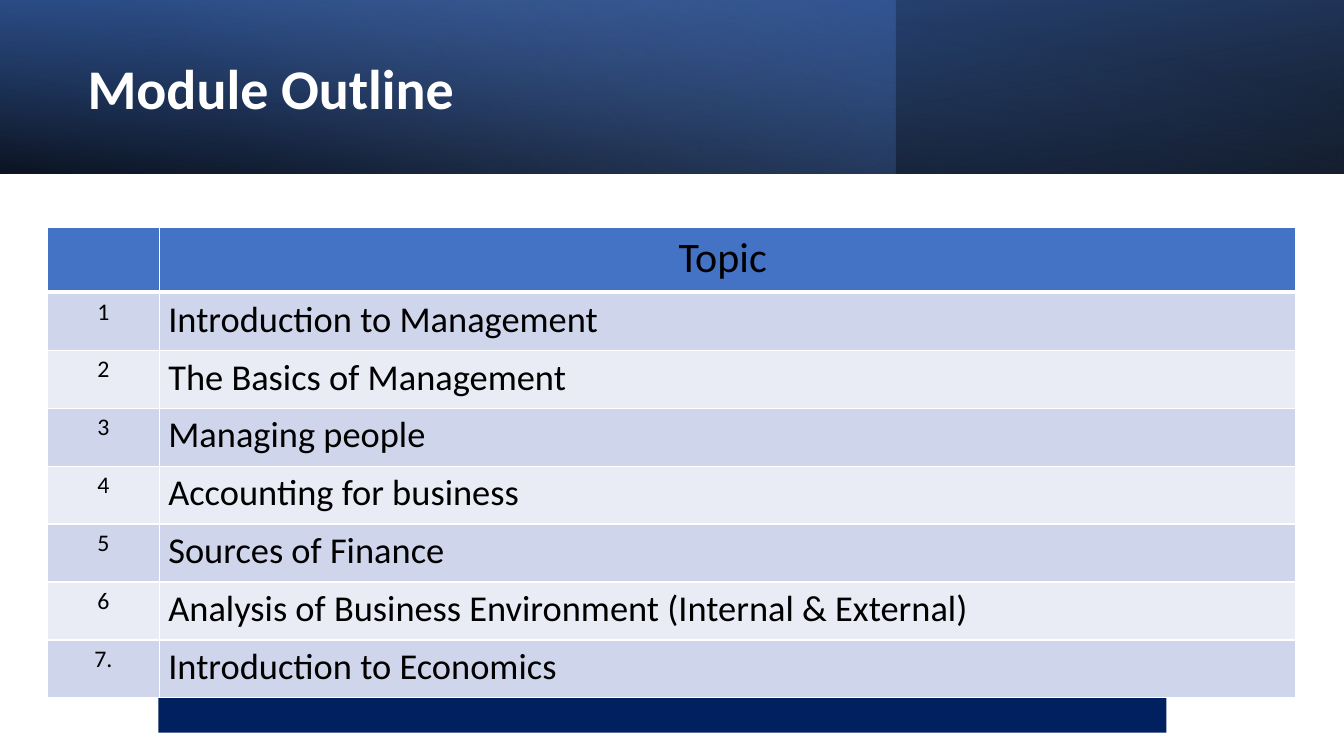
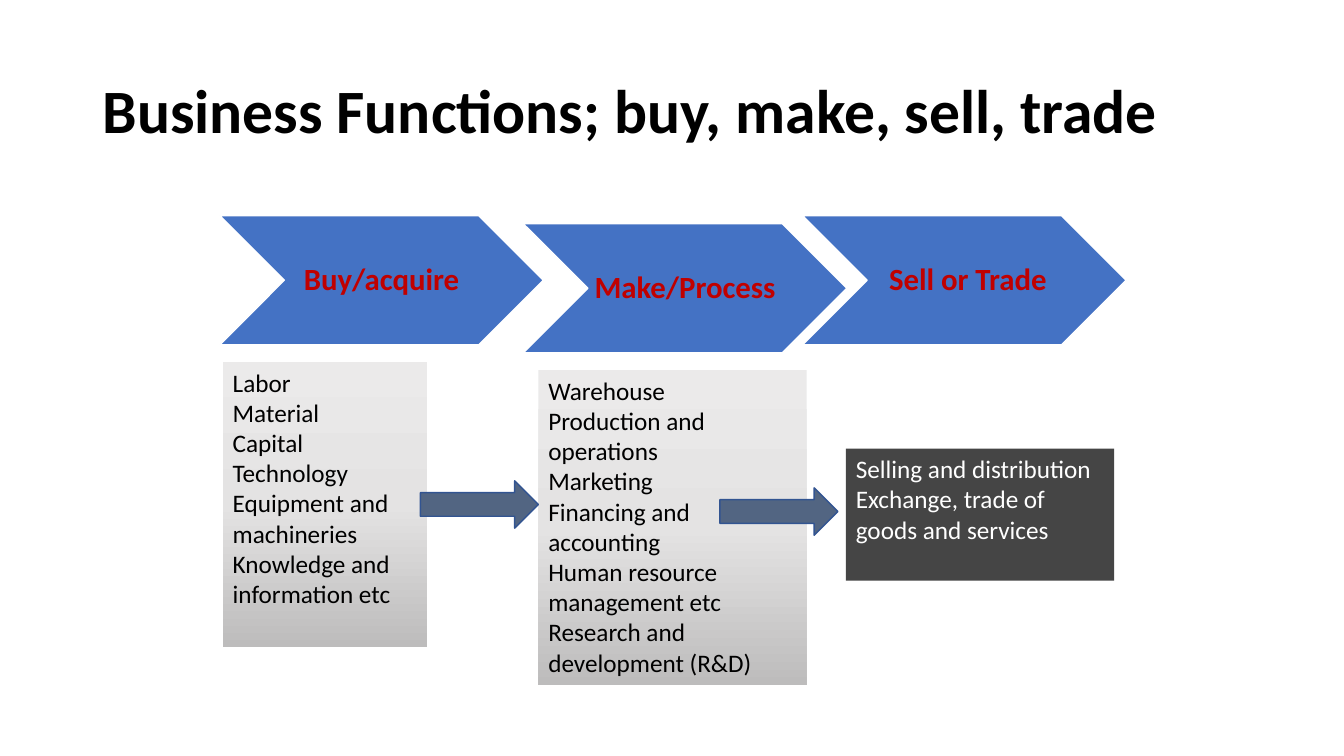
from lxml import etree
from pptx import Presentation
from pptx import util as u
from pptx.dml.color import RGBColor
from pptx.enum import shapes, text
from pptx.oxml import parse_xml
from pptx.oxml.ns import nsdecls, qn

W, H = 13.33, 7.5
FONT = "Calibri"
C = {"white": "FFFFFF", "black": "000000", "blue": "4472C4", "deep": "2F5597",
     "pale": "8FAADC", "navy": "002060", "red": "C00000", "odd": "CFD5EA",
     "even": "E9EBF5", "grey1": "EBEAEA", "grey2": "E4E3E3", "grey3": "BDBCBC",
     "dark": "454545", "arrow": "526582", "edge": "325491"}
GREY = ([(0, "grey1", 100), (50, "grey2", 100), (100, "grey3", 100)], 90)

BAND_H = 1.72
BANDS = [
    (W, ([(0, "black", 96), (100, "deep", 100)], 100), 180, True),
    (W * 2 / 3, ([(0, "blue", 41), (74, "pale", 0)], 140), 0, False),
    (W, ([(0, "black", 63), (78, "blue", 15)], 260), 0, True),
]
TOPICS = [
    ("1", "Introduction to Management"),
    ("2", "The Basics of Management"),
    ("3", "Managing people"),
    ("4", "Accounting for business"),
    ("5", "Sources of Finance"),
    ("6", "Analysis of Business Environment (Internal & External)"),
    ("7.", "Introduction to Economics"),
]
COLS = (1.11, 11.27)
HEAD_H, ROW_H = 0.64, 0.575

STEPS = [
    ("Buy/acquire ", (2.18, 2.14), (2.21, 3.59, 2.03, 2.83), GREY, "black",
     ["Labor", "Material", "Capital", "Technology",
      "Equipment and machineries", "Knowledge and information etc"]),
    ("Make/Process ", (5.19, 2.22), (5.34, 3.67, 2.66, 3.13), GREY, "black",
     ["Warehouse", "Production and operations", "Marketing",
      "Financing and accounting", "Human resource management etc",
      "Research and development (R&D)"]),
    ("Sell or Trade", (7.96, 2.14), (8.39, 4.45, 2.66, 1.31), "dark", "white",
     ["Selling and distribution", "Exchange, trade of goods and services"]),
]
CHEVRON = (3.21, 1.28)
ARROWS = [(7.14, 4.84), (4.17, 4.77)]
ARROW = (1.17, 0.47)


def rgb(name):
    return RGBColor.from_string(C[name])


def paint(sp, fill):
    if isinstance(fill, str):
        sp.fill.solid()
        sp.fill.fore_color.rgb = rgb(fill)
        return
    stops, angle = fill
    gs = "".join(
        f'<a:gs pos="{pos * 1000}"><a:srgbClr val="{C[color]}">'
        f'<a:alpha val="{alpha * 1000}"/></a:srgbClr></a:gs>'
        for pos, color, alpha in stops)
    sp.fill.background()
    spPr = sp._element.spPr
    spPr.replace(spPr.find(qn("a:noFill")), parse_xml(
        f'<a:gradFill rotWithShape="1" {nsdecls("a")}><a:gsLst>{gs}</a:gsLst>'
        f'<a:lin ang="{angle * 60000}" scaled="0"/></a:gradFill>'))


def add_shape(s, kind, box, fill, line=None):
    sp = s.shapes.add_shape(kind, *map(u.Inches, box))
    sp.shadow.inherit = False
    paint(sp, fill)
    if line:
        sp.line.color.rgb = rgb(line)
        sp.line.width = u.Pt(1)
    else:
        sp.line.fill.background()
    return sp


def write(tf, lines, size, color, bold=False, align=text.PP_ALIGN.LEFT,
          anchor=None, spacing=None):
    tf.word_wrap = True
    if anchor is not None:
        tf.vertical_anchor = anchor
    for i, line in enumerate(lines):
        p = tf.add_paragraph() if i else tf.paragraphs[0]
        p.alignment = align
        if spacing:
            p.line_spacing = spacing
        r = p.add_run()
        r.text = line
        r.font.name, r.font.size, r.font.bold = FONT, u.Pt(size), bold
        r.font.color.rgb = rgb(color)


def add_title(s, title, box, size, color):
    tf = s.shapes.add_textbox(*map(u.Inches, box)).text_frame
    write(tf, [title], size, color, True, anchor=text.MSO_ANCHOR.MIDDLE, spacing=0.9)


def style_cell(cell, fill, bottom):
    tcPr = cell._tc.get_or_add_tcPr()
    for side, width in (("L", 1), ("R", 1), ("T", 1), ("B", bottom)):
        ln = etree.SubElement(tcPr, qn(f"a:ln{side}"), w=str(u.Pt(width)))
        solid = etree.SubElement(ln, qn("a:solidFill"))
        etree.SubElement(solid, qn("a:srgbClr"), val=C["white"])
    paint(cell, fill)
    cell.margin_left = cell.margin_right = u.Inches(0.09)
    cell.margin_top = cell.margin_bottom = u.Inches(0.05)


def outline_slide(s):
    rect = shapes.MSO_SHAPE.RECTANGLE
    for width, fill, rotation, flip in BANDS:
        sp = add_shape(s, rect, (0, 0, width, BAND_H), fill)
        sp.rotation = rotation
        if flip:
            sp._element.spPr.xfrm.set("flipH", "1")
    add_title(s, "Module Outline", (0.77, 0.27, 7.72, 1.27), 40, "white")
    add_shape(s, rect, (1.57, 6.87, 10, 0.4), "navy")

    rows = [("", "Topic ")] + TOPICS
    tbl = s.shapes.add_table(
        len(rows), len(COLS), u.Inches(0.47), u.Inches(2.26), u.Inches(sum(COLS)),
        u.Inches(HEAD_H + ROW_H * len(TOPICS))).table
    for col, width in zip(tbl.columns, COLS):
        col.width = u.Inches(width)
    for i, row in enumerate(rows):
        tbl.rows[i].height = u.Inches(ROW_H if i else HEAD_H)
        fill = ("odd" if i % 2 else "even") if i else "blue"
        for j, value in enumerate(row):
            cell = tbl.cell(i, j)
            style_cell(cell, fill, 1 if i else 3)
            if value:
                size = (17, 26)[j] if i else 30
                centred = i == 0 or j == 0
                write(cell.text_frame, [value], size, "black",
                      align=text.PP_ALIGN.CENTER if centred else text.PP_ALIGN.LEFT)


def functions_slide(s):
    for name, place, *_ in STEPS:
        sp = add_shape(s, shapes.MSO_SHAPE.CHEVRON, place + CHEVRON, "blue", "white")
        tf = sp.text_frame
        write(tf, [name], 22, "red", True, text.PP_ALIGN.CENTER,
              text.MSO_ANCHOR.MIDDLE, 0.9)
        tf.word_wrap = False
        tf.margin_left = u.Inches(0.1)
        tf.margin_right = tf.margin_top = tf.margin_bottom = u.Inches(0.03)
    add_title(s, "Business Functions; buy, make, sell, trade",
              (0.92, 0.4, 11.5, 1.45), 44, "black")
    for _, _, box, fill, color, lines in STEPS:
        sp = add_shape(s, shapes.MSO_SHAPE.RECTANGLE, box, fill)
        write(sp.text_frame, lines, 18, color, anchor=text.MSO_ANCHOR.TOP)
    for place in ARROWS:
        add_shape(s, shapes.MSO_SHAPE.RIGHT_ARROW, place + ARROW, "arrow", "edge")


def main():
    prs = Presentation()
    prs.slide_width, prs.slide_height = u.Inches(W), u.Inches(H)
    for build in (outline_slide, functions_slide):
        build(prs.slides.add_slide(prs.slide_layouts[6]))
    prs.save("out.pptx")


if __name__ == "__main__":
    main()
